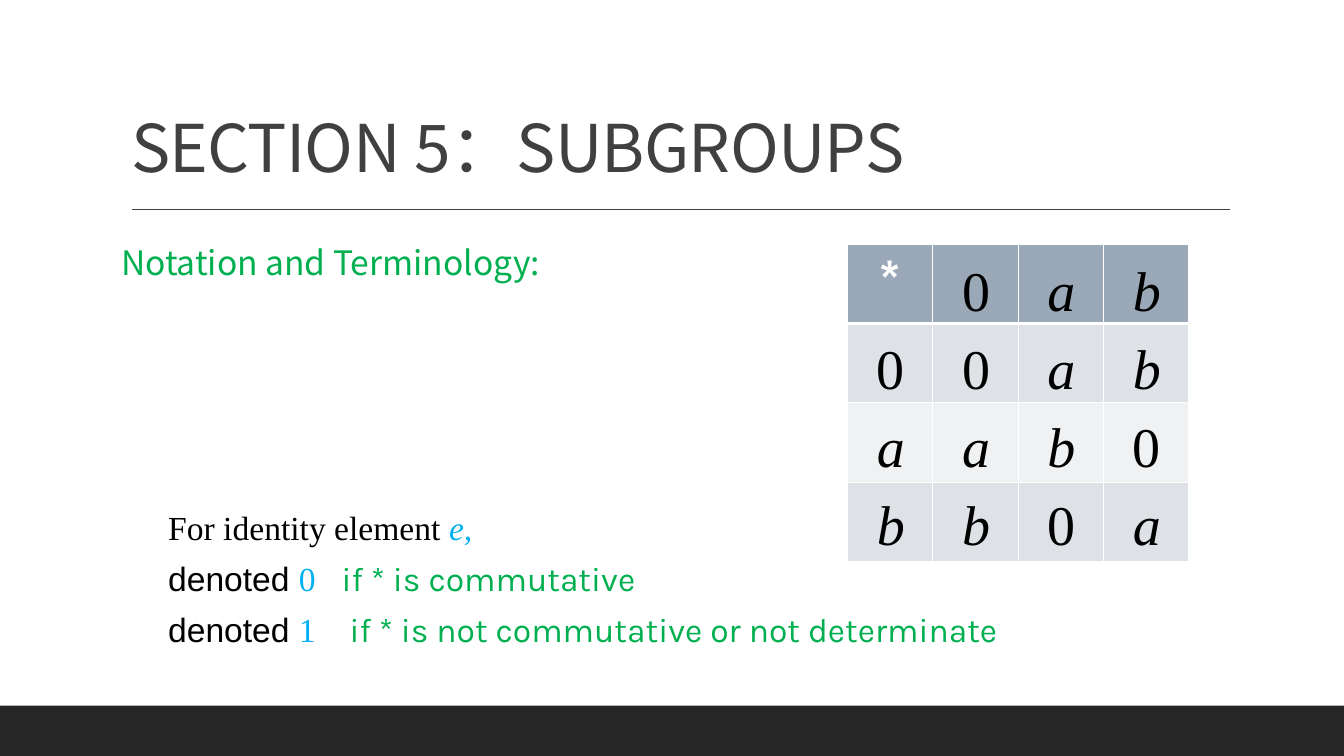
"""Build the slide on subgroup notation with its group table."""
import pptx
import pptx.util
import pptx.dml.color
import pptx.enum.shapes
import pptx.enum.text
import pptx.oxml.ns
import lxml.etree

Cm, Pt = pptx.util.Cm, pptx.util.Pt
ALIGN = pptx.enum.text.PP_ALIGN
ANCHOR = pptx.enum.text.MSO_ANCHOR
AUTO = pptx.enum.text.MSO_AUTO_SIZE
qn = pptx.oxml.ns.qn

SANS, SERIF, KARLA = "Noto Sans CJK SC", "Times New Roman", "Karla"
BLACK, WHITE, DARK = "000000", "FFFFFF", "404040"
GREEN, BLUE = "00B050", "00B0F0"

TITLE = "SECTION 5：SUBGROUPS"
HEADING = "Notation and Terminology:"
NOTES = [
    (19.08, None, [("For identity element ", SERIF, BLACK, False),
                   ("e,", SERIF, BLUE, True)]),
    (19.08, 4.37, [("denoted ", "Arial", BLACK, False),
                   ("0\t", SERIF, BLUE, False),
                   ("if * is commutative", KARLA, GREEN, False)]),
    (26.75, 4.57, [("denoted ", "Arial", BLACK, False),
                   ("1\t", SERIF, BLUE, False),
                   ("if * is not commutative or not determinate", KARLA, GREEN, False)]),
]
GROUP = ["*0ab", "00ab", "aab0", "bb0a"]
ROW_FILLS = ["9BA8B7", "DEE1E6", "EFF1F3", "DEE1E6"]

NOTE_LEFT, NOTE_TOP, NOTE_STEP = 3.99, 12.65, 1.28
TABLE_LEFT, TABLE_TOP, CELL_W, CELL_H = 21.36, 6.15, 2.15, 2
ENTRY_LEFT, ENTRY_TOP, ENTRY_W, ENTRY_H = 21.84, 6.32, 1.22, 1.96


def rgb(value):
    """Turn a hex string into a colour."""
    return pptx.dml.color.RGBColor.from_string(value)


def add_text(p, text, size=24, font=SERIF, color=BLACK, bold=False, italic=False, spacing=None):
    """Add a formatted run to a paragraph."""
    r = p.add_run()
    r.text = text
    f = r.font
    f.size, f.name, f.bold, f.italic = Pt(size), font, bold, italic
    f.color.rgb = rgb(color)
    rpr = r._r.get_or_add_rPr()
    lxml.etree.SubElement(rpr, qn("a:ea"), typeface=font)
    if spacing is not None:
        rpr.set("spc", str(int(spacing * 100)))


def place(sp, left, top, width, height):
    """Move and size a shape, in centimetres."""
    sp.left, sp.top, sp.width, sp.height = Cm(left), Cm(top), Cm(width), Cm(height)


def add_box(s, left, top, width, height, wrap):
    """Add a growing text box and return its first paragraph."""
    tf = s.shapes.add_textbox(Cm(left), Cm(top), Cm(width), Cm(height)).text_frame
    tf.word_wrap = wrap
    tf.auto_size = AUTO.SHAPE_TO_FIT_TEXT
    return tf.paragraphs[0]


def add_frame(s):
    """Draw the bottom band and the rule below the title."""
    band = s.shapes.add_shape(pptx.enum.shapes.MSO_SHAPE.RECTANGLE,
                              Cm(0), Cm(17.78), Cm(33.87), Cm(1.27))
    band.shadow.inherit = False
    band.fill.solid()
    band.fill.fore_color.rgb = rgb("262626")
    band.line.fill.background()
    rule = s.shapes.add_connector(pptx.enum.shapes.MSO_CONNECTOR.STRAIGHT,
                                  Cm(3.33), Cm(5.28), Cm(31), Cm(5.28))
    rule.line.color.rgb = rgb(DARK)
    rule.line.width = Pt(1)
    lxml.etree.SubElement(rule._element.spPr, qn("a:effectLst"))


def add_headings(s):
    """Fill the title and body placeholders."""
    title, body = s.shapes.title, s.placeholders[1]
    place(title, 3.05, 0.79, 27.94, 4.04)
    place(body, 3.05, 5.87, 27.94, 1.9)
    for sp in (title, body):
        sp.text_frame.auto_size = AUTO.NONE
        sp.text_frame.word_wrap = True
    title.text_frame.vertical_anchor = ANCHOR.BOTTOM
    p = title.text_frame.paragraphs[0]
    p.alignment, p.line_spacing = ALIGN.LEFT, 0.9
    add_text(p, TITLE, size=47, font=SANS, color=DARK, spacing=-0.5)
    tf = body.text_frame
    tf.vertical_anchor = ANCHOR.TOP
    tf.margin_left = tf.margin_right = Cm(0)
    p = tf.paragraphs[0]
    p.line_spacing, p.space_before, p.space_after = 1.1, Pt(12), Pt(2)
    ppr = p._p.get_or_add_pPr()
    ppr.set("marL", "0")
    ppr.set("indent", "0")
    lxml.etree.SubElement(ppr, qn("a:buNone"))
    add_text(p, HEADING, font=SANS, color=GREEN)


def add_notes(s):
    """Write the lines on the identity element."""
    for i, (width, tab, runs) in enumerate(NOTES):
        p = add_box(s, NOTE_LEFT, NOTE_TOP + i * NOTE_STEP, width, 1.28, True)
        if tab:
            tabs = lxml.etree.SubElement(p._p.get_or_add_pPr(), qn("a:tabLst"))
            lxml.etree.SubElement(tabs, qn("a:tab"), pos=str(Cm(tab)), algn="l")
        for text, font, color, italic in runs:
            add_text(p, text, font=font, color=color, italic=italic)


def set_borders(cell, top, bottom):
    """Give a cell white borders, in points."""
    tcpr = cell._tc.get_or_add_tcPr()
    for side, width in (("L", 1), ("R", 1), ("T", top), ("B", bottom)):
        ln = lxml.etree.SubElement(tcpr, qn("a:ln" + side), w=str(Pt(width)))
        fill = lxml.etree.SubElement(ln, qn("a:solidFill"))
        lxml.etree.SubElement(fill, qn("a:srgbClr"), val=WHITE)


def add_group_table(s):
    """Draw the grid and set the group elements over it."""
    n = len(GROUP)
    table = s.shapes.add_table(n, n, Cm(TABLE_LEFT), Cm(TABLE_TOP),
                               Cm(n * CELL_W), Cm(n * CELL_H)).table
    for i, row in enumerate(GROUP):
        table.columns[i].width, table.rows[i].height = Cm(CELL_W), Cm(CELL_H)
        for j, mark in enumerate(row):
            cell = table.cell(i, j)
            set_borders(cell, 3 if i == 1 else 1, 3 if i == 0 else 1)
            cell.fill.solid()
            cell.fill.fore_color.rgb = rgb(ROW_FILLS[i])
            if mark == "*":
                p = cell.text_frame.paragraphs[0]
                add_text(p, mark, size=40, font=KARLA, color=WHITE, bold=True)
            else:
                p = add_box(s, ENTRY_LEFT + j * CELL_W, ENTRY_TOP + i * ENTRY_H,
                            ENTRY_W, ENTRY_H, False)
                add_text(p, mark, size=40, italic=mark.isalpha())
            p.alignment = ALIGN.CENTER


def main():
    """Build and save the slide."""
    prs = pptx.Presentation()
    prs.slide_width, prs.slide_height = Cm(33.87), Cm(19.05)
    s = prs.slides.add_slide(prs.slide_layouts[1])
    add_frame(s)
    add_headings(s)
    add_notes(s)
    add_group_table(s)
    prs.save("out.pptx")


if __name__ == "__main__":
    main()
